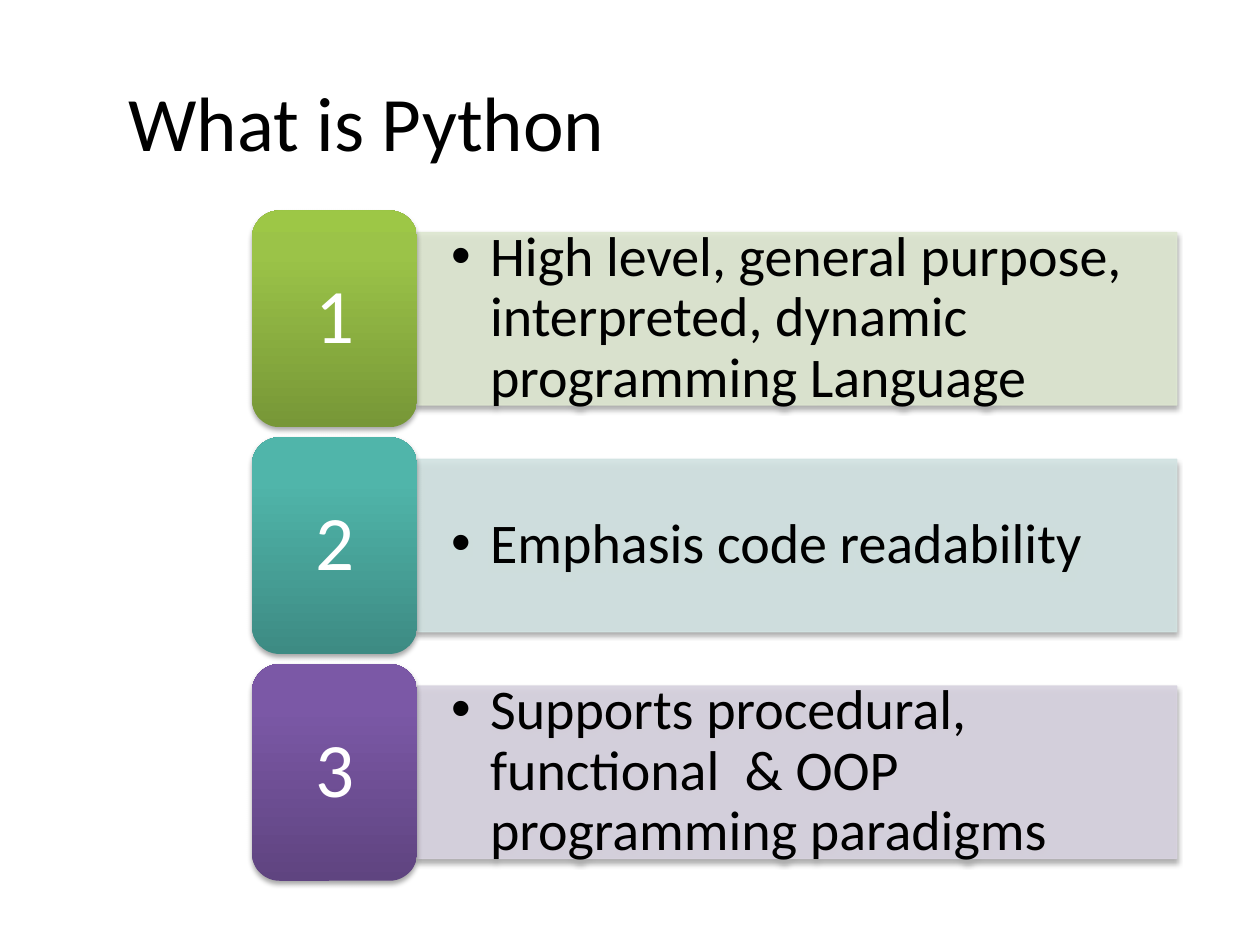
"""Build a slide that lists three numbered facts about Python."""
from lxml import etree
from pptx import Presentation
from pptx.dml.color import RGBColor
from pptx.enum.shapes import MSO_SHAPE
from pptx.enum.text import MSO_ANCHOR, PP_ALIGN
from pptx.oxml.ns import qn
from pptx.util import Inches, Pt

RECTANGLE, ROUNDED = MSO_SHAPE.RECTANGLE, MSO_SHAPE.ROUNDED_RECTANGLE
MIDDLE = MSO_ANCHOR.MIDDLE
LEFT, CENTER = PP_ALIGN.LEFT, PP_ALIGN.CENTER

FIRST_TOP, ROW_STEP = 1.67, 1.8
BADGE_LEFT, BADGE_WIDTH, BADGE_HEIGHT = 2, 1.31, 1.72
BAR_WIDTH, BAR_HEIGHT = 6.03, 1.37
GRADIENT_STOPS = (0, 80, 100)

FACTS = [
    ("High level, general purpose, interpreted, dynamic programming Language",
     "DEE7D1", ("779737", "9BC348", "9DC746")),
    ("Emphasis code readability",
     "D2E3E2", ("3D8B83", "50B5AA", "4EB8AC")),
    ("Supports procedural, functional  & OOP programming paradigms",
     "D8D3E0", ("5F4480", "7B58A6", "7C57A8")),
]


def color(value):
    return RGBColor.from_string(value)


def add_node(parent, tag, **attributes):
    return etree.SubElement(parent, qn(tag), attributes)


def add_alpha(properties, percent):
    for node in properties.iter(qn("a:srgbClr")):
        add_node(node, "a:alpha", val=str(percent * 1000))


class SlideBuilder:
    def __init__(self, page, font="Calibri"):
        self.page = page
        self.font = font

    def add_text(self, para, text, size, tint, align):
        para.alignment = align
        span = para.add_run()
        span.text = text
        span.font.name = self.font
        span.font.size = Pt(size)
        span.font.color.rgb = color(tint)

    def title(self, text, left, top, width, height):
        box = self.page.shapes.title
        box.left, box.top = Inches(left), Inches(top)
        box.width, box.height = Inches(width), Inches(height)
        box.text_frame.vertical_anchor = MIDDLE
        self.add_text(box.text_frame.paragraphs[0], text, 44, "000000", LEFT)

    def shape(self, kind, left, top, width, height, inset):
        shape = self.page.shapes.add_shape(
            kind, Inches(left), Inches(top), Inches(width), Inches(height))
        frame = shape.text_frame
        frame.word_wrap = True
        frame.vertical_anchor = MIDDLE
        frame.margin_left = frame.margin_right = Inches(inset)
        frame.margin_top = frame.margin_bottom = Inches(inset / 2)
        frame.paragraphs[0].line_spacing = 0.9
        return shape

    def shadow(self, shape):
        shape.shadow.inherit = False
        effects = shape._element.spPr.find(qn("a:effectLst"))
        outer = add_node(effects, "a:outerShdw", blurRad=str(Pt(3.1)),
                         dist=str(Pt(1.8)), dir="5400000", rotWithShape="0")
        tint = add_node(outer, "a:srgbClr", val="000000")
        add_node(tint, "a:alpha", val="35000")

    def bar(self, text, tint, left, top):
        bar = self.shape(RECTANGLE, left, top, BAR_WIDTH, BAR_HEIGHT, 0.27)
        bar.fill.solid()
        bar.fill.fore_color.rgb = color(tint)
        bar.line.color.rgb = color(tint)
        bar.line.width = Pt(0.75)
        add_alpha(bar._element.spPr, 90)
        self.shadow(bar)
        para = bar.text_frame.paragraphs[0]
        self.add_text(para, text, 32, "000000", LEFT)
        properties = para._p.get_or_add_pPr()
        properties.set("marL", str(Inches(0.31)))
        properties.set("indent", str(Inches(-0.31)))
        add_node(properties, "a:buFont", typeface="Arial")
        add_node(properties, "a:buChar", char="•")

    def badge(self, text, tints, left, top):
        badge = self.shape(ROUNDED, left, top, BADGE_WIDTH, BADGE_HEIGHT, 0.18)
        badge.fill.gradient()
        badge.fill.gradient_angle = 90
        stops = badge._element.spPr.find(qn("a:gradFill")).find(qn("a:gsLst"))
        for stop in list(stops):
            stops.remove(stop)
        for position, tint in zip(GRADIENT_STOPS, tints):
            stop = add_node(stops, "a:gs", pos=str(position * 1000))
            add_node(stop, "a:srgbClr", val=tint)
        badge.line.fill.background()
        self.shadow(badge)
        para = badge.text_frame.paragraphs[0]
        self.add_text(para, text, 44, "FFFFFF", CENTER)


def main():
    deck = Presentation()
    deck.slide_width, deck.slide_height = Inches(10), Inches(7.5)
    builder = SlideBuilder(deck.slides.add_slide(deck.slide_layouts[5]))
    builder.title("What is Python", 0.92, 0.33, 8.83, 1.25)
    for index, (text, bar_tint, badge_tints) in enumerate(FACTS):
        top = FIRST_TOP + index * ROW_STEP
        bar_top = top + (BADGE_HEIGHT - BAR_HEIGHT) / 2
        builder.bar(text, bar_tint, BADGE_LEFT + BADGE_WIDTH, bar_top)
        builder.badge(str(index + 1), badge_tints, BADGE_LEFT, top)
    deck.save("out.pptx")


if __name__ == "__main__":
    main()
